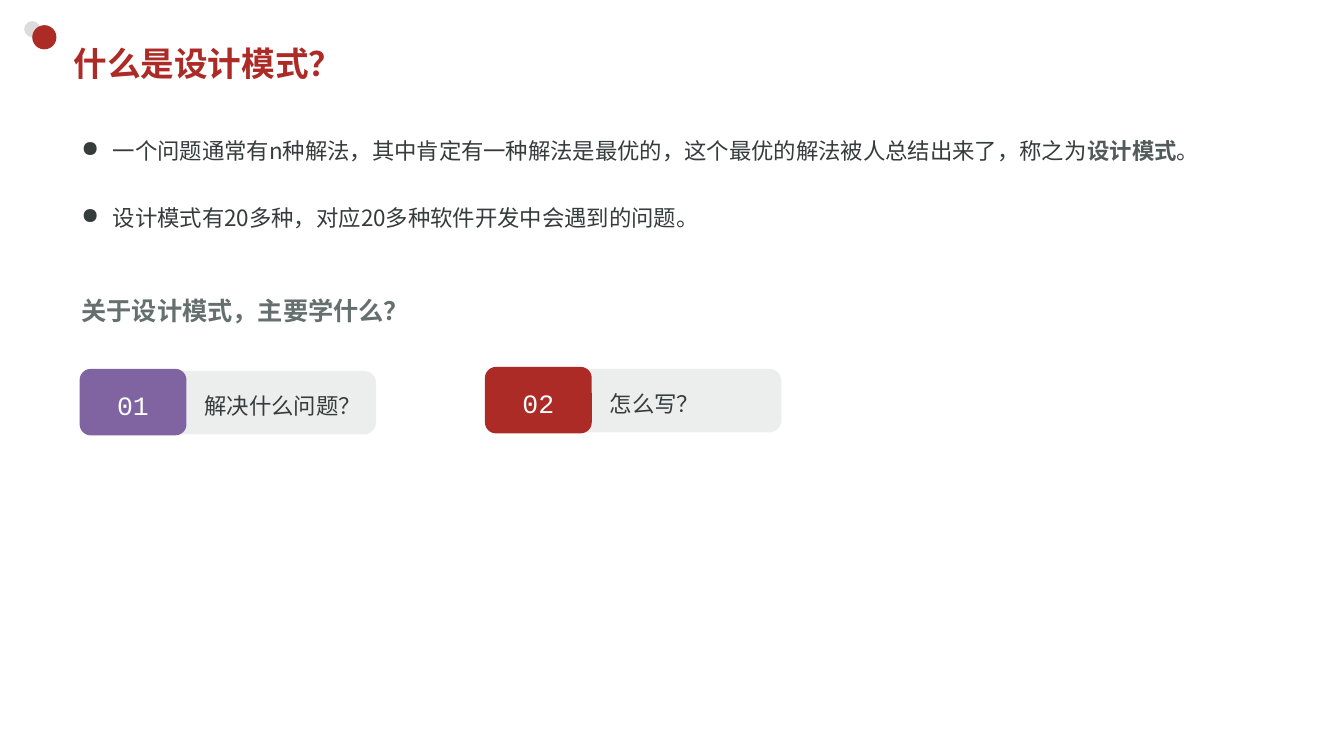
import math

import pptx
import pptx.dml.color
import pptx.enum.shapes
import pptx.enum.text
import pptx.oxml
import pptx.oxml.ns
import pptx.util
from pptx.util import Inches

COLORS = {
    "red": "AD2B26",
    "purple": "8064A2",
    "light_gray": "DADDDC",
    "panel": "EAECEC",
    "text": "363C3B",
    "strong": "525B5A",
    "heading": "65706E",
    "white": "FFFFFF",
}
SANS = "Noto Sans CJK JP"
MONO = "Courier New"
NAMESPACE = pptx.oxml.ns.nsdecls("a")
SHAPES = pptx.enum.shapes.MSO_SHAPE
ANCHOR = pptx.enum.text.MSO_ANCHOR


def style_text(paragraph, size, color, font_name=SANS, bold=False, line_spacing=1.0):
    """Set the paragraph's font, with the sans font for Chinese characters."""
    paragraph.line_spacing = line_spacing
    font = paragraph.font
    font.name = font_name
    font.size = pptx.util.Pt(size)
    font.bold = bold
    font.color.rgb = pptx.dml.color.RGBColor.from_string(COLORS[color])
    properties = paragraph._p.pPr.find(pptx.oxml.ns.qn("a:defRPr"))
    properties.append(pptx.oxml.parse_xml(f'<a:ea {NAMESPACE} typeface="{SANS}"/>'))


def paint(shape, color):
    shape.shadow.inherit = False
    shape.fill.solid()
    shape.fill.fore_color.rgb = pptx.dml.color.RGBColor.from_string(COLORS[color])
    shape.line.fill.background()


presentation = pptx.Presentation()
presentation.slide_width = Inches(13.33)
presentation.slide_height = Inches(7.5)
slide = presentation.slides.add_slide(presentation.slide_layouts[6])

# Corner dots
for left, top, diameter, color in [(0.24, 0.21, 0.16, "light_gray"), (0.32, 0.25, 0.24, "red")]:
    dot = slide.shapes.add_shape(
        SHAPES.OVAL, Inches(left), Inches(top), Inches(diameter), Inches(diameter))
    paint(dot, color)

# Title
title = slide.shapes.add_textbox(Inches(0.63), Inches(0.37), Inches(11.75), Inches(0.52))
title.text_frame.word_wrap = True
title.text_frame.vertical_anchor = ANCHOR.MIDDLE
title.text_frame.text = "什么是设计模式？"
style_text(title.text_frame.paragraphs[0], 24, "red", MONO, bold=True)

# Bulleted explanation: each bullet is a list of (text, is strong)
bullets = [
    [("一个问题通常有n种解法，其中肯定有一种解法是最优的，这个最优的解法被人总结出来了，称之为", False),
     ("设计模式", True), ("。", False)],
    [("设计模式有20多种，对应20多种软件开发中会遇到的问题。", False)],
]
body = slide.shapes.add_textbox(Inches(0.71), Inches(0.91), Inches(11.22), Inches(1.34))
body.text_frame.word_wrap = True
for index, pieces in enumerate(bullets):
    paragraph = body.text_frame.paragraphs[0] if index == 0 else body.text_frame.add_paragraph()
    style_text(paragraph, 16, "text", line_spacing=2.5)
    paragraph_properties = paragraph._p.pPr
    paragraph_properties.set("marL", str(Inches(0.31)))
    paragraph_properties.set("indent", str(-Inches(0.31)))
    paragraph_properties.find(pptx.oxml.ns.qn("a:defRPr")).addprevious(
        pptx.oxml.parse_xml(f'<a:buChar {NAMESPACE} char="●"/>'))
    for text, strong in pieces:
        run = paragraph.add_run()
        run.text = text
        if strong:
            run.font.bold = True
            run.font.color.rgb = pptx.dml.color.RGBColor.from_string(COLORS["strong"])

# Subheading
subheading = slide.shapes.add_textbox(Inches(0.71), Inches(2.43), Inches(6.7), Inches(0.74))
subheading.text_frame.word_wrap = True
subheading.text_frame.text = "关于设计模式，主要学什么？"
style_text(subheading.text_frame.paragraphs[0], 18, "heading", bold=True, line_spacing=2.5)

# Numbered topics: a number tab over a panel rounded on its right side
PANEL_WIDTH, PANEL_HEIGHT, RADIUS = 1.93, 0.63, 0.12
topics = [
    (0.79, 3.66, "01", "purple", "解决什么问题？"),
    (4.81, 3.64, "02", "red", "怎么写？"),
]
for left, top, number, color, topic in topics:
    panel_left, panel_top = left + 1.01, top + 0.02
    outline = [(panel_left, panel_top)]
    for center_y, start in [(panel_top + RADIUS, -90), (panel_top + PANEL_HEIGHT - RADIUS, 0)]:
        for degrees in range(start, start + 91, 10):
            angle = math.radians(degrees)
            outline.append((panel_left + PANEL_WIDTH - RADIUS + RADIUS * math.cos(angle),
                            center_y + RADIUS * math.sin(angle)))
    outline.append((panel_left, panel_top + PANEL_HEIGHT))
    points = [(Inches(x), Inches(y)) for x, y in outline]
    builder = slide.shapes.build_freeform(*points[0])
    builder.add_line_segments(points[1:], close=True)
    panel = builder.convert_to_shape()
    paint(panel, "panel")
    panel_color = panel.fill._xPr.find(".//" + pptx.oxml.ns.qn("a:srgbClr"))
    panel_color.append(pptx.oxml.parse_xml(f'<a:alpha {NAMESPACE} val="90000"/>'))
    frame = panel.text_frame
    frame.word_wrap = True
    frame.vertical_anchor = ANCHOR.MIDDLE
    frame.margin_left = Inches(0.23)
    frame.margin_right = frame.margin_top = frame.margin_bottom = Inches(0.08)
    frame.text = topic
    frame.paragraphs[0].alignment = pptx.enum.text.PP_ALIGN.LEFT
    style_text(frame.paragraphs[0], 16, "text", line_spacing=1.2)

    tab = slide.shapes.add_shape(
        SHAPES.ROUNDED_RECTANGLE, Inches(left), Inches(top), Inches(1.06), Inches(0.66))
    paint(tab, color)
    frame = tab.text_frame
    frame.vertical_anchor = ANCHOR.MIDDLE
    frame.margin_left = frame.margin_right = frame.margin_top = frame.margin_bottom = 0
    frame.text = number
    frame.paragraphs[0].alignment = pptx.enum.text.PP_ALIGN.CENTER
    style_text(frame.paragraphs[0], 18.9, "white", MONO, line_spacing=1.2)

presentation.save("out.pptx")
